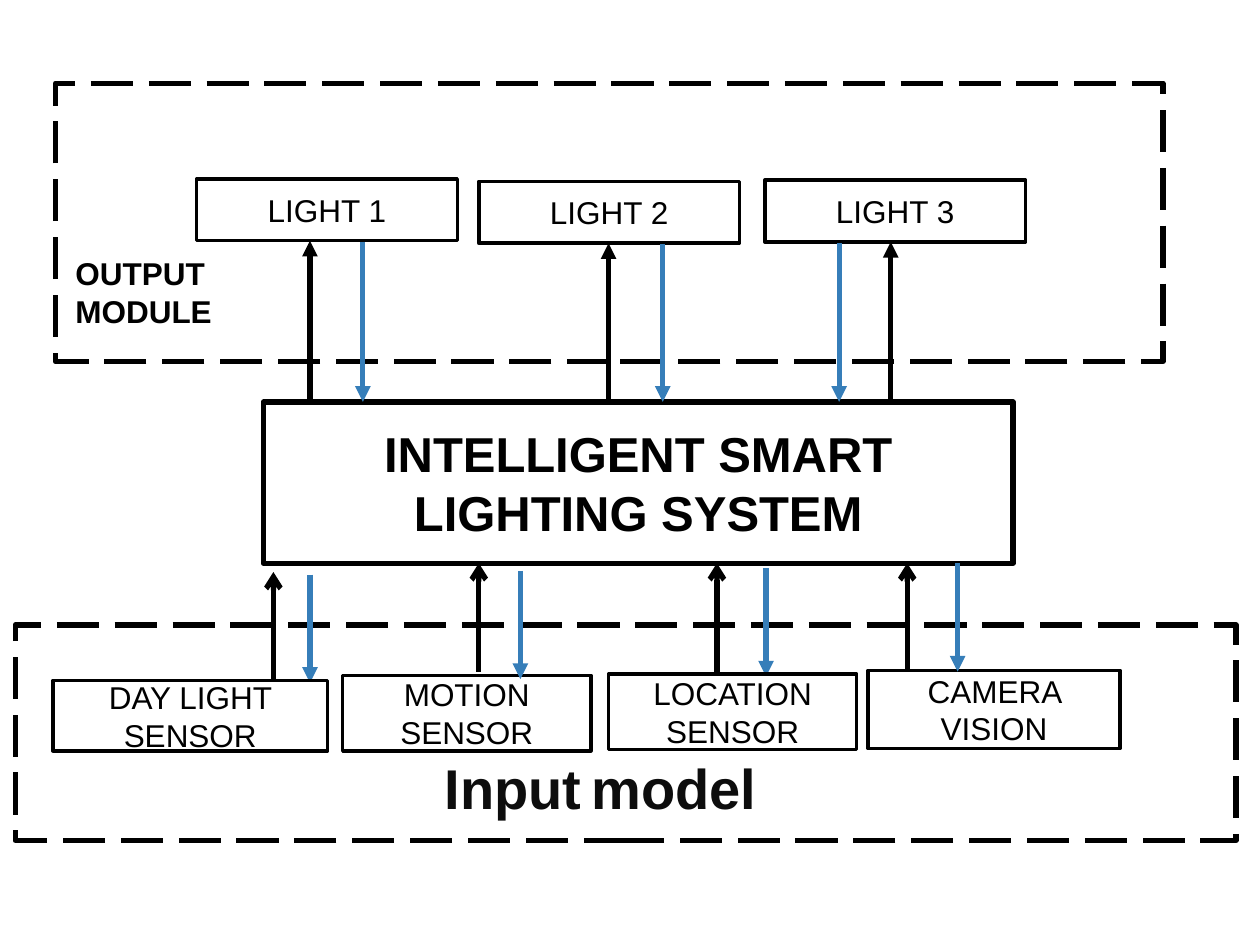
from lxml.etree import SubElement
from pptx import Presentation
from pptx.dml.color import RGBColor
from pptx.enum.dml import MSO_LINE
from pptx.enum.shapes import MSO_CONNECTOR, MSO_SHAPE
from pptx.enum.text import MSO_ANCHOR, MSO_AUTO_SIZE, PP_ALIGN
from pptx.oxml.ns import qn
from pptx.util import Inches, Pt

BLACK, WHITE, BLUE, DARK = "000000", "FFFFFF", "367EB9", "0D0D0D"


def color(text):
    return RGBColor.from_string(text)


class Board:
    font = "Arial"

    def __init__(self, slide):
        self.slide = slide

    def style(self, para, size, bold, tone=BLACK):
        para.font.name = self.font
        para.font.size = Pt(size)
        para.font.bold = bold
        para.font.color.rgb = color(tone)

    def box(self, place, text="", size=18, bold=False, width=2, dash=None):
        shape = self.slide.shapes.add_shape(
            MSO_SHAPE.RECTANGLE, *map(Inches, place))
        shape.shadow.inherit = False
        shape.fill.solid()
        shape.fill.fore_color.rgb = color(WHITE)
        shape.line.color.rgb = color(BLACK)
        shape.line.width = Pt(width)
        if dash:
            shape.line.dash_style = dash
        if text:
            frame = shape.text_frame
            frame.word_wrap = True
            frame.vertical_anchor = MSO_ANCHOR.MIDDLE
            para = frame.paragraphs[0]
            para.text = text
            para.alignment = PP_ALIGN.CENTER
            self.style(para, size, bold)

    def label(self, place, parts, tone=BLACK):
        shape = self.slide.shapes.add_textbox(*map(Inches, place))
        frame = shape.text_frame
        frame.word_wrap = True
        frame.auto_size = MSO_AUTO_SIZE.SHAPE_TO_FIT_TEXT
        para = frame.paragraphs[0]
        self.style(para, parts[0][1], True, tone)
        for text, size in parts:
            run = para.add_run()
            run.text = text
            run.font.size = Pt(size)

    def arrow(self, x, start, end, tone=BLACK, head="triangle"):
        line = self.slide.shapes.add_connector(
            MSO_CONNECTOR.STRAIGHT,
            Inches(x), Inches(start), Inches(x), Inches(end))
        line.line.color.rgb = color(tone)
        line.line.width = Pt(3)
        SubElement(line.line._get_or_add_ln(), qn("a:tailEnd"), type=head)
        SubElement(line._element.spPr, qn("a:effectLst"))


def main():
    deck = Presentation()
    deck.slide_width, deck.slide_height = Inches(10), Inches(7.5)
    board = Board(deck.slides.add_slide(deck.slide_layouts[6]))

    board.box((0.12, 4.96, 9.69, 1.71), width=3, dash=MSO_LINE.LONG_DASH)
    board.box((2.09, 3.19, 5.95, 1.28), "INTELLIGENT SMART LIGHTING SYSTEM",
              size=28, bold=True, width=3)
    board.box((0.44, 0.66, 8.79, 2.21), width=3, dash=MSO_LINE.LONG_DASH)

    lights = [
        ("LIGHT 1", 1.56, 1.42, 2.46, 2.88),
        ("LIGHT 2", 3.8, 1.44, 4.83, 5.26),
        ("LIGHT 3", 6.07, 1.43, 7.07, 6.66),
    ]
    for name, left, top, rise, drop in lights:
        board.box((left, top, 2.07, 0.49), name)
        board.arrow(rise, 3.19, top + 0.49)
        board.arrow(drop, top + 0.5, 3.19, BLUE)

    sensors = [
        ("DAY LIGHT SENSOR", (0.42, 5.4, 2.18, 0.56),
         2.17, 4.54, 2.46, 4.56, False),
        ("MOTION SENSOR", (2.72, 5.36, 1.97, 0.6),
         3.8, 4.47, 4.13, 4.53, True),
        ("LOCATION SENSOR", (4.83, 5.35, 1.97, 0.6),
         5.69, 4.47, 6.08, 4.51, False),
        ("CAMERA VISION", (6.89, 5.32, 2, 0.62),
         7.2, 4.47, 7.6, 4.47, True),
    ]
    reach = 0.86
    for name, place, rise, tip, drop, start, front in sensors:
        if front:
            board.box(place, name)
        board.arrow(rise, tip + reach, tip, head="arrow")
        board.arrow(drop, start, start + reach, BLUE)
        if not front:
            board.box(place, name)

    board.label((0.5, 1.97, 2.02, 0.71), [("OUTPUT MODULE", 18)])
    board.label((3.43, 5.93, 3.76, 0.64),
                [("Input", 32), (" ", 20), ("model", 32)], DARK)
    deck.save("out.pptx")


if __name__ == "__main__":
    main()
